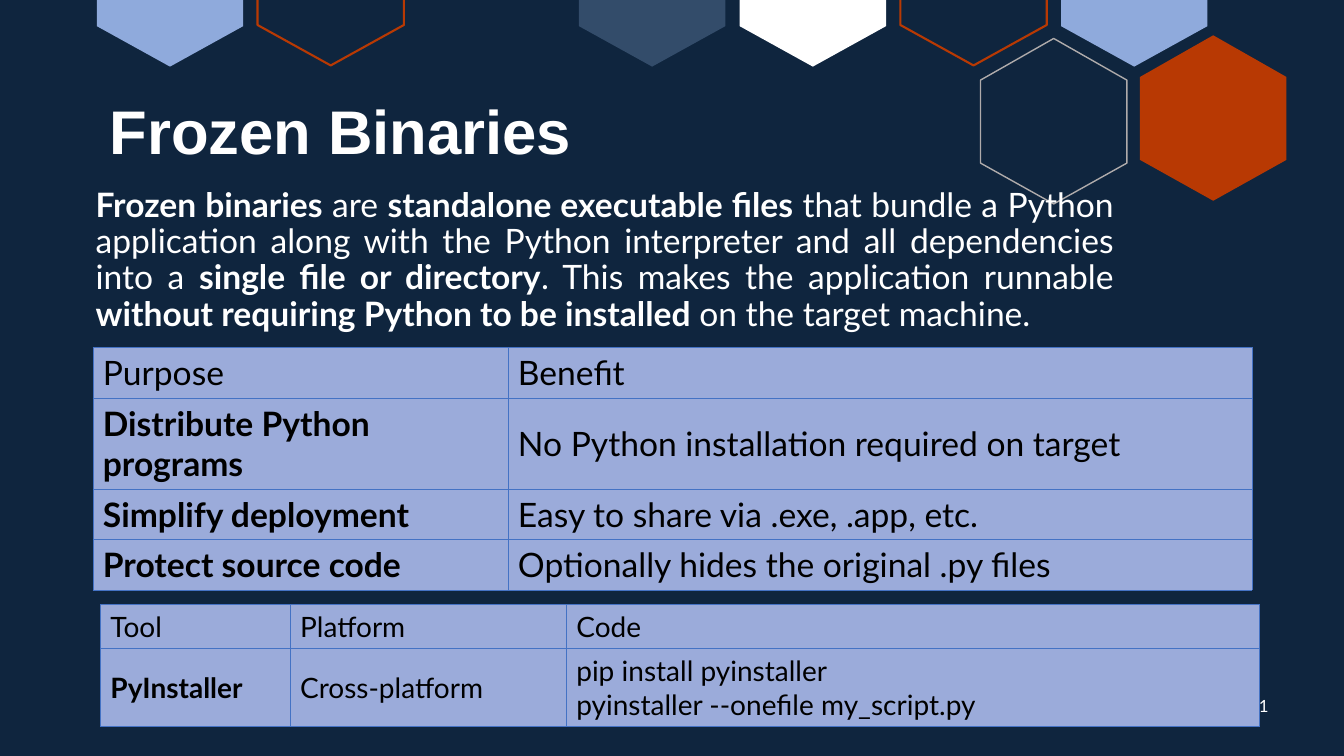
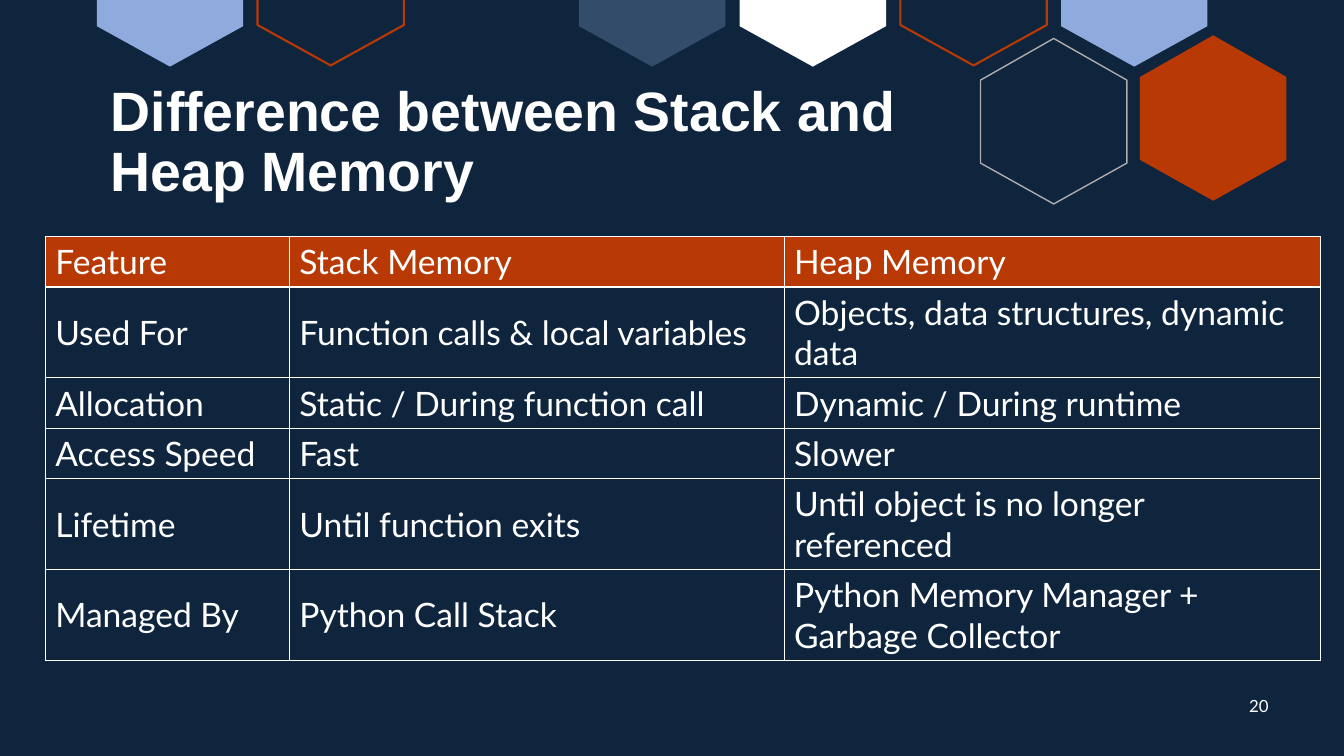
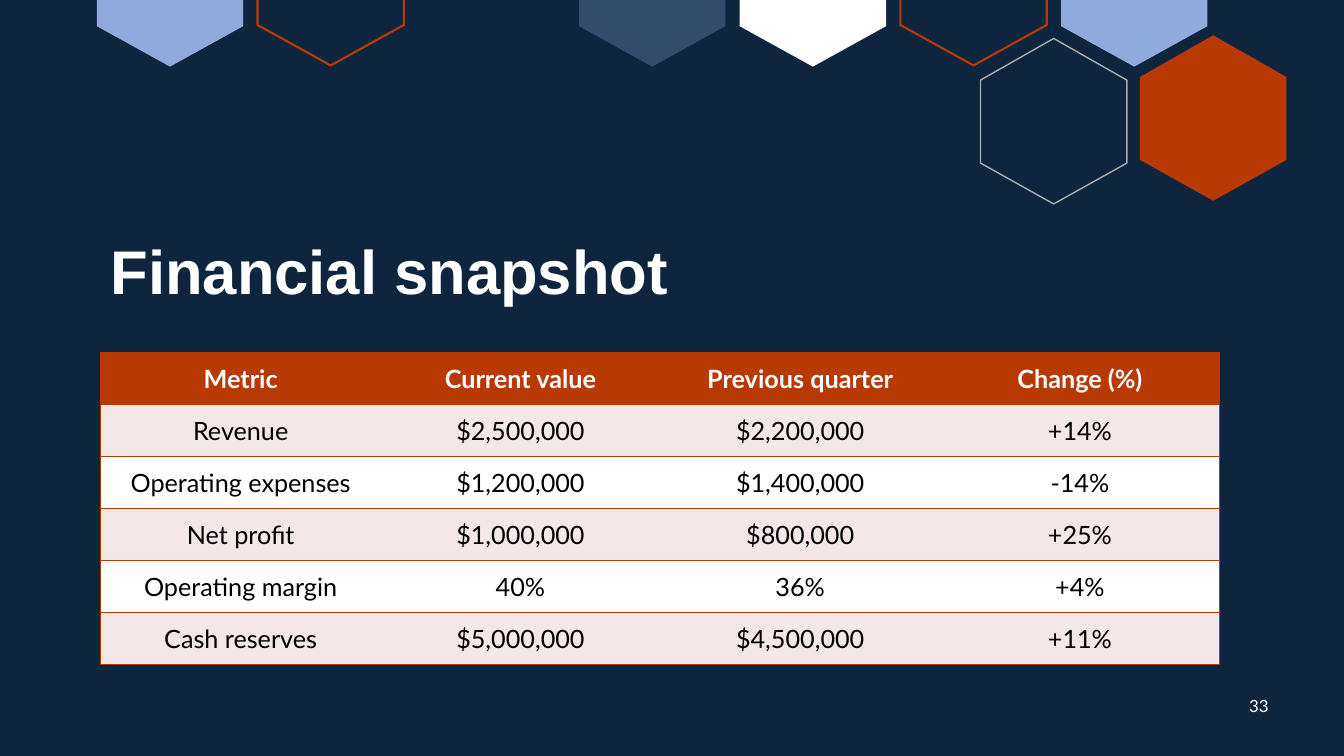
from dataclasses import dataclass

from lxml.etree import SubElement as Sub
from pptx import Presentation as Deck
from pptx.dml.color import RGBColor as Rgb
from pptx.enum.text import MSO_ANCHOR as Anchor, PP_ALIGN as Align
from pptx.oxml.ns import qn
from pptx.slide import Slide
from pptx.util import Cm, Pt

HUES = {
    "navy": "0F253E", "slate": "334C6A", "white": "FFFFFF", "sky": "8FAADC",
    "rust": "B83903", "gray": "AFABAB", "blue": "4472C4", "lilac": "9BABDA",
    "blush": "F3E8E7", "black": "000000",
}
TITLE = {"name": "Arial", "bold": True}
BODY = {"name": "Lato", "size": Pt(24), "bold": False}
SMALL = {"name": "Lato", "size": Pt(12), "bold": False}

HEX_W = 3.69
STEP = 4.05
HALF_HEX = [(0, 0), (HEX_W, 0), (HEX_W, 0.66), (HEX_W / 2, 1.68), (0, 0.66)]
FULL_HEX = [(HEX_W / 2, 0), (HEX_W, 1.05), (HEX_W, 3.14),
            (HEX_W / 2, 4.17), (0, 3.14), (0, 1.05)]


@dataclass
class Hex:
    left: float
    top: float
    points: list[tuple[float, float]]
    hue: str
    line: float = 0


@dataclass
class Box:
    left: float
    top: float
    width: float
    height: float


@dataclass
class Grid:
    left: float
    top: float
    cols: list[float]
    rows: list[float]
    cells: list[list[str]]
    fills: list[str]
    inks: list[str]
    edge: str
    weight: float
    size: float = 24
    align: Align = Align.LEFT
    bold_head: bool = False
    bold_side: bool = False
    inner: bool = True


def slot(index: int, hue: str, line: float = 0) -> Hex:
    return Hex(2.44 + index * STEP, -0.03 if line else 0, HALF_HEX, hue, line)


HEXES = [
    Hex(24.71, 0.97, FULL_HEX, "gray", 1),
    slot(0, "sky"), slot(1, "rust", 1.5), slot(3, "slate"),
    slot(4, "white"), slot(5, "rust", 1.5), slot(6, "sky"),
    Hex(28.73, 0.89, FULL_HEX, "rust"),
]


def tint(hue: str) -> Rgb:
    return Rgb.from_string(HUES[hue])


def style(font, look: dict, hue: str) -> None:
    for key, value in look.items():
        setattr(font, key, value)
    font.color.rgb = tint(hue)


def draw_hex(page: Slide, item: Hex) -> None:
    spots = [(Cm(item.left + x), Cm(item.top + y)) for x, y in item.points]
    maker = page.shapes.build_freeform(*spots[0])
    maker.add_line_segments(spots[1:], close=True)
    shape = maker.convert_to_shape()
    shape.shadow.inherit = False
    if item.line:
        shape.fill.background()
        shape.line.color.rgb = tint(item.hue)
        shape.line.width = Pt(item.line)
    else:
        shape.fill.solid()
        shape.fill.fore_color.rgb = tint(item.hue)
        shape.line.fill.background()


def write(page: Slide, box: Box, runs: list[tuple[str, bool]], look: dict,
          anchor: Anchor, align: Align, space: float = 1) -> None:
    shape = page.shapes.add_textbox(
        Cm(box.left), Cm(box.top), Cm(box.width), Cm(box.height))
    frame = shape.text_frame
    frame.word_wrap = True
    frame.vertical_anchor = anchor
    para = frame.paragraphs[0]
    para.alignment = align
    para.line_spacing = space
    for text, bold in runs:
        run = para.add_run()
        run.text = text
        style(run.font, look | {"bold": bold}, "white")


def start(deck: Deck, title: str, box: Box, number: str, size: float = 44) -> Slide:
    page = deck.slides.add_slide(deck.slide_layouts[6])
    for item in HEXES:
        draw_hex(page, item)
    write(page, box, [(title, True)], TITLE | {"size": Pt(size)},
          Anchor.BOTTOM, Align.LEFT, 0.9)
    write(page, Box(31.09, 17.27, 1.27, 1.02), [(number, False)], SMALL,
          Anchor.MIDDLE, Align.CENTER)
    return page


def rule(cell, side: str, hue: str, weight: float) -> None:
    line = Sub(cell._tc.get_or_add_tcPr(), qn(f"a:ln{side}"), w=str(Pt(weight)))
    if weight:
        fill = Sub(line, qn("a:solidFill"))
        Sub(fill, qn("a:srgbClr"), val=HUES[hue])
    else:
        Sub(line, qn("a:noFill"))


def draw_grid(page: Slide, grid: Grid) -> None:
    last = len(grid.cols) - 1
    table = page.shapes.add_table(
        len(grid.rows), len(grid.cols), Cm(grid.left), Cm(grid.top),
        Cm(sum(grid.cols)), Cm(sum(grid.rows))).table
    table.first_row = table.horz_banding = False
    for col, width in zip(table.columns, grid.cols):
        col.width = Cm(width)
    for row, height in zip(table.rows, grid.rows):
        row.height = Cm(height)
    for y, texts in enumerate(grid.cells):
        for x, text in enumerate(texts):
            cell = table.cell(y, x)
            shown = {"L": grid.inner or x == 0, "R": grid.inner or x == last,
                     "T": True, "B": True}
            for side, seen in shown.items():
                rule(cell, side, grid.edge, grid.weight if seen else 0)
            cell.fill.solid()
            cell.fill.fore_color.rgb = tint(grid.fills[y])
            cell.vertical_anchor = Anchor.MIDDLE
            cell.text_frame.text = text
            bold = grid.bold_head if y == 0 else grid.bold_side and x == 0
            look = BODY | {"size": Pt(grid.size), "bold": bold}
            for para in cell.text_frame.paragraphs:
                para.alignment = grid.align
                style(para.runs[0].font, look, grid.inks[y])


def frozen(deck: Deck) -> None:
    page = start(deck, "Frozen Binaries", Box(2.51, 1.78, 21.31, 2.57), "11")
    write(page, Box(2.16, 4.62, 26.16, 4.47), [
        ("Frozen binaries", True),
        (" are ", False),
        ("standalone executable files", True),
        (" that bundle a Python application along with the Python interpreter"
         " and all dependencies into a ", False),
        ("single file or directory", True),
        (". This makes the application runnable ", False),
        ("without requiring Python to be installed", True),
        (" on the target machine.", False),
    ], BODY, Anchor.TOP, Align.JUSTIFY, 0.9)
    draw_grid(page, Grid(2.34, 8.76, [10.46, 18.75], [1.27, 2.29, 1.27, 1.27], [
        ["Purpose", "Benefit"],
        ["Distribute Python programs", "No Python installation required on target"],
        ["Simplify deployment", "Easy to share via .exe, .app, etc."],
        ["Protect source code", "Optionally hides the original .py files"],
    ], ["lilac"] * 4, ["black"] * 4, "blue", 0.5, bold_side=True))
    draw_grid(page, Grid(2.53, 15.23, [4.78, 6.96, 17.47], [1.11, 1.97], [
        ["Tool", "Platform", "Code"],
        ["PyInstaller", "Cross-platform",
         "pip install pyinstaller\npyinstaller --onefile my_script.py"],
    ], ["lilac"] * 2, ["black"] * 2, "blue", 0.5, 20, bold_side=True))


def memory(deck: Deck) -> None:
    page = start(deck, "Difference between Stack and Heap Memory",
                 Box(2.54, 2.03, 23.57, 3.23), "20", 39.6)
    draw_grid(page, Grid(1.14, 5.96, [6.15, 12.47, 13.51],
                         [1.27, 2.29, 1.27, 1.27, 2.29, 2.29], [
        ["Feature", "Stack Memory", "Heap Memory"],
        ["Used For", "Function calls & local variables",
         "Objects, data structures, dynamic data"],
        ["Allocation", "Static / During function call", "Dynamic / During runtime"],
        ["Access Speed", "Fast", "Slower"],
        ["Lifetime", "Until function exits", "Until object is no longer referenced"],
        ["Managed By", "Python Call Stack",
         "Python Memory Manager + Garbage Collector"],
    ], ["rust"] + ["navy"] * 5, ["white"] * 6, "white", 1))


def money(deck: Deck) -> None:
    page = start(deck, "Financial snapshot", Box(2.54, 2.03, 21.31, 5.84), "33")
    draw_grid(page, Grid(2.54, 8.88, [7.05] * 4, [1.31] * 6, [
        ["Metric", "Current value", "Previous quarter", "Change (%)"],
        ["Revenue", "$2,500,000", "$2,200,000", "+14%"],
        ["Operating expenses", "$1,200,000", "$1,400,000", "-14%"],
        ["Net profit", "$1,000,000", "$800,000", "+25%"],
        ["Operating margin", "40%", "36%", "+4%"],
        ["Cash reserves", "$5,000,000", "$4,500,000", "+11%"],
    ], ["rust", "blush", "white", "blush", "white", "blush"],
        ["white"] + ["black"] * 5, "rust", 1, 18, Align.CENTER,
        bold_head=True, inner=False))


def main() -> None:
    deck = Deck()
    deck.slide_width, deck.slide_height = Cm(33.87), Cm(19.05)
    back = deck.slide_master.background.fill
    back.solid()
    back.fore_color.rgb = tint("navy")
    for build in (frozen, memory, money):
        build(deck)
    deck.save("out.pptx")


if __name__ == "__main__":
    main()
